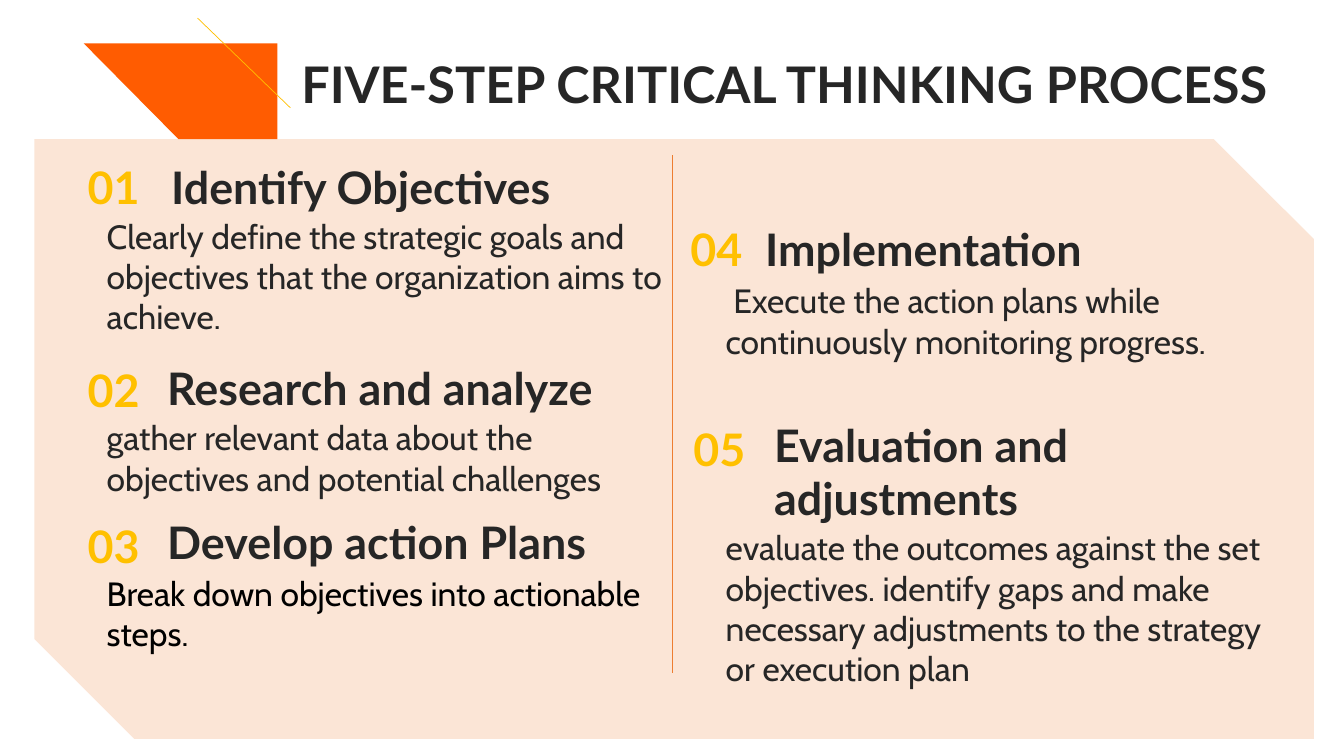
from pptx import Presentation
from pptx.dml.color import RGBColor
from pptx.enum.shapes import MSO_CONNECTOR, MSO_SHAPE
from pptx.enum.text import MSO_AUTO_SIZE, PP_ALIGN
from pptx.oxml.ns import qn
from pptx.util import Emu, Pt

PX = 9144  # EMU in one px, 100 px to the inch
COLORS = {
    "ink": "262626",
    "black": "000000",
    "gold": "FFC000",
    "peach": "FBE5D6",
    "flame": "FF5C01",
    "rust": "ED7D31",
}

# number: text, box, alignment; head: text, box; body: text, box, colour
STEPS = [
    (("01", (77, 154, 79, 64), PP_ALIGN.LEFT),
     ("Identify Objectives", (160, 154, 467, 64)),
     ("Clearly define the strategic goals and objectives that the "
      "organization aims to achieve.", (96, 209, 574, 131), "ink")),
    (("02", (77, 355, 79, 64), PP_ALIGN.LEFT),
     ("Research and analyze", (156, 353, 470, 64)),
     ("gather relevant data about the objectives and potential challenges",
      (96, 409, 574, 91), "ink")),
    (("03", (77, 510, 79, 64), PP_ALIGN.LEFT),
     ("Develop action Plans", (156, 506, 470, 64)),
     ("Break down objectives into actionable steps.",
      (96, 563, 574, 91), "black")),
    (("04", (674, 215, 72, 64), PP_ALIGN.RIGHT),
     ("Implementation", (749, 215, 363, 64)),
     (" Execute the action plans while continuously monitoring progress.",
      (710, 273, 574, 91), "ink")),
    (("05", (677, 413, 72, 64), PP_ALIGN.RIGHT),
     ("Evaluation and adjustments", (758, 409, 341, 118)),
     ("evaluate the outcomes against the set objectives. identify gaps and "
      "make necessary adjustments to the strategy or execution plan",
      (710, 518, 574, 172), "ink")),
]


def px(*nums):
    return [Emu(n * PX) for n in nums]


def rgb(name):
    return RGBColor.from_string(COLORS[name])


def paint(shape, color):
    """Give a shape a flat fill with no outline or shadow."""
    shape.shadow.inherit = False
    shape.fill.solid()
    shape.fill.fore_color.rgb = rgb(color)
    shape.line.fill.background()


def add_text(slide, text, box, size, color="ink", font="Lato", bold=True,
             align=PP_ALIGN.LEFT):
    frame = slide.shapes.add_textbox(*px(*box)).text_frame
    frame.word_wrap = True
    frame.auto_size = MSO_AUTO_SIZE.SHAPE_TO_FIT_TEXT
    para = frame.paragraphs[0]
    para.text = text
    para.alignment = align
    para.font.name = font
    para.font.size = Pt(size)
    para.font.bold = bold
    para.font.color.rgb = rgb(color)


def add_line(slide, ends, color):
    line = slide.shapes.add_connector(MSO_CONNECTOR.STRAIGHT, *px(*ends))
    line.line.color.rgb = rgb(color)
    line.line.width = Pt(0.5)
    props = line._element.spPr
    props.append(props.makeelement(qn("a:effectLst"), {}))


def add_panel(slide):
    panel = slide.shapes.add_shape(MSO_SHAPE.SNIP_2_DIAG_RECTANGLE,
                                   *px(34, 138, 1269, 595))
    paint(panel, "peach")


def add_flag(slide):
    pen = slide.shapes.build_freeform(83, 43, scale=PX)
    pen.add_line_segments([(275, 43), (275, 138), (177, 138)], close=True)
    paint(pen.convert_to_shape(), "flame")


def add_step(slide, number, head, body):
    label, box, align = number
    add_text(slide, label, box, 32, "gold", align=align)
    add_text(slide, *head, 32)
    text, box, color = body
    add_text(slide, text, box, 24, color, "Cabin", False)


def main():
    deck = Presentation()
    deck.slide_width, deck.slide_height = px(1333, 750)
    slide = deck.slides.add_slide(deck.slide_layouts[6])
    add_panel(slide)
    add_flag(slide)
    add_text(slide, "FIVE-STEP CRITICAL THINKING PROCESS",
             (289, 48, 1034, 71), 36)
    add_line(slide, (196, 18, 288, 107), "gold")
    add_line(slide, (667, 154, 667, 668), "rust")
    for step in STEPS:
        add_step(slide, *step)
    deck.save("out.pptx")


if __name__ == "__main__":
    main()
